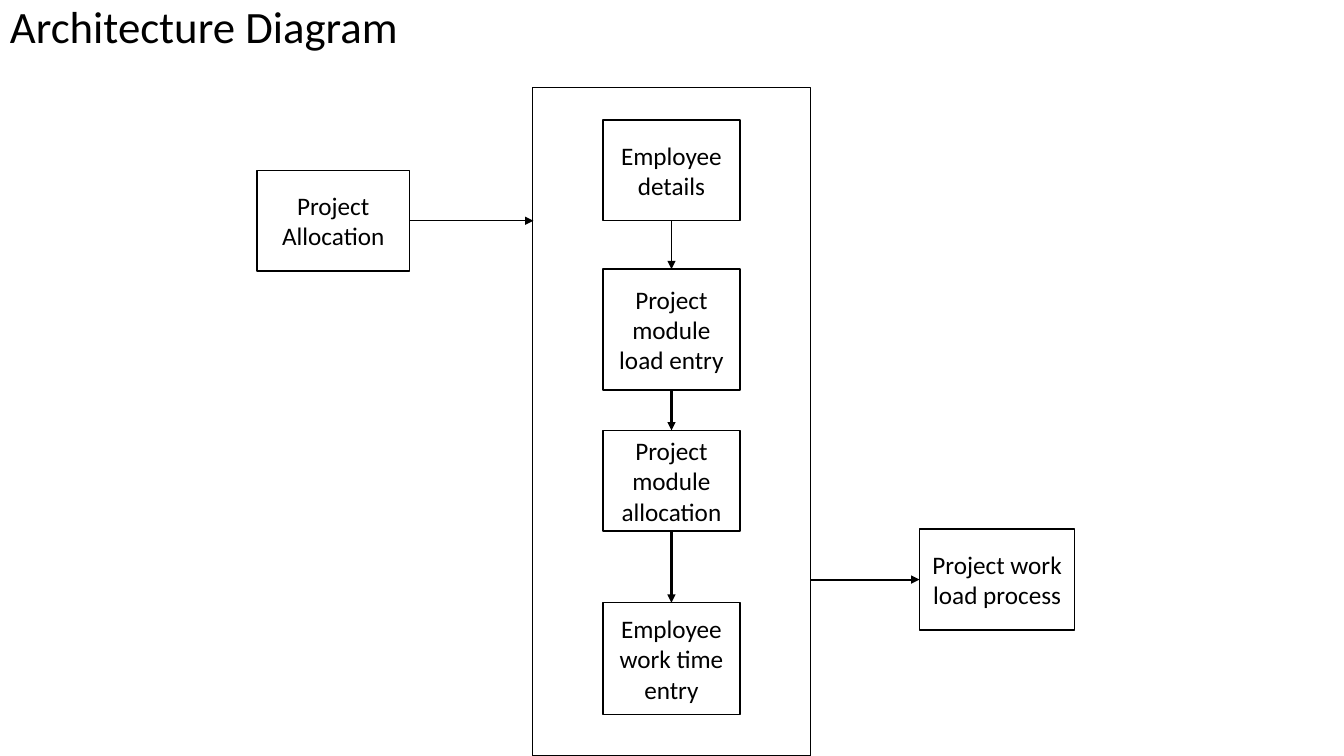
from itertools import pairwise

from lxml.etree import SubElement
from pptx import Presentation
from pptx.dml.color import RGBColor
from pptx.enum.shapes import MSO_CONNECTOR, MSO_SHAPE
from pptx.enum.text import MSO_ANCHOR, PP_ALIGN
from pptx.oxml.ns import qn
from pptx.util import Inches, Pt

BLACK = RGBColor(0, 0, 0)
WHITE = RGBColor(255, 255, 255)


class Board:
    font = "Calibri"

    def __init__(self, slide):
        self.shapes = slide.shapes

    def style(self, para, size):
        for run in para.runs:
            run.font.name = self.font
            run.font.size = Pt(size)
            run.font.color.rgb = BLACK

    def title(self, text, left, top, width, height):
        frame = self.shapes.add_textbox(
            Inches(left), Inches(top), Inches(width), Inches(height)
        ).text_frame
        frame.word_wrap = True
        frame.text = text
        para = frame.paragraphs[0]
        para.line_spacing = 0.9
        para.space_before = Pt(10)
        self.style(para, 32)

    def box(self, text, left, top, width, height):
        box = self.shapes.add_shape(
            MSO_SHAPE.RECTANGLE,
            Inches(left), Inches(top), Inches(width), Inches(height),
        )
        box.shadow.inherit = False
        box.fill.solid()
        box.fill.fore_color.rgb = WHITE
        box.line.color.rgb = BLACK
        box.line.width = Pt(1)
        if text:
            frame = box.text_frame
            frame.word_wrap = True
            frame.vertical_anchor = MSO_ANCHOR.MIDDLE
            frame.text = text
            para = frame.paragraphs[0]
            para.alignment = PP_ALIGN.CENTER
            self.style(para, 18)
        return box

    def arrow(self, start, end, weight):
        """Join two shapes, each given with its site: 0 top, 1 left, 2 bottom, 3 right."""
        line = self.shapes.add_connector(MSO_CONNECTOR.STRAIGHT, 0, 0, 0, 0)
        line.begin_connect(*start)
        line.end_connect(*end)
        self.finish(line, weight)

    def level(self, x1, x2, y, weight):
        """Draw a horizontal arrow."""
        line = self.shapes.add_connector(
            MSO_CONNECTOR.STRAIGHT, Inches(x1), Inches(y), Inches(x2), Inches(y)
        )
        self.finish(line, weight)

    def finish(self, line, weight):
        line.line.color.rgb = BLACK
        line.line.width = Pt(weight)
        props = line._element.spPr
        SubElement(props.find(qn("a:ln")), qn("a:tailEnd"), type="triangle")
        SubElement(props, qn("a:effectLst"))


def main():
    deck = Presentation()
    deck.slide_width = Inches(13.33)
    deck.slide_height = Inches(7.5)
    board = Board(deck.slides.add_slide(deck.slide_layouts[6]))

    board.title("Architecture Diagram", 0, 0, 13.33, 7.34)
    board.box("", 5.28, 0.87, 2.76, 6.63)

    steps = [
        ("Employee details", 1.19, 1),
        ("Project module load entry", 2.67, 1.2),
        ("Project module allocation", 4.27, 1),
        ("Employee work time entry", 5.98, 1.11),
    ]
    chain = [board.box(text, 5.98, top, 1.36, high) for text, top, high in steps]
    board.box("Project Allocation", 2.55, 1.69, 1.51, 1)
    board.box("Project work load process", 9.12, 5.25, 1.54, 1)

    for (above, below), weight in zip(pairwise(chain), (0.5, 1.5, 1.5)):
        board.arrow((above, 2), (below, 0), weight)
    board.level(4.06, 5.29, 2.19, 0.5)
    board.level(8.04, 9.12, 5.75, 1.5)

    deck.save("out.pptx")


if __name__ == "__main__":
    main()
